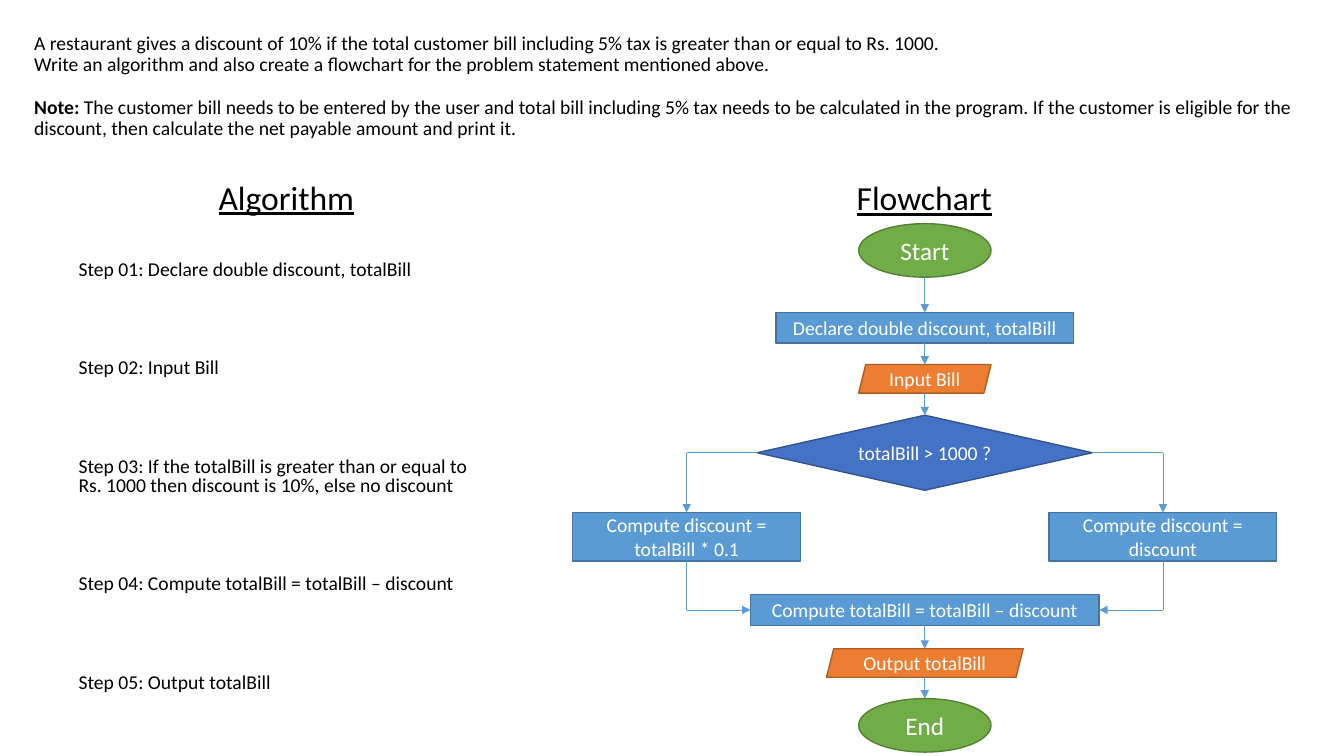
from pptx import Presentation
from pptx.dml.color import RGBColor
from pptx.enum.shapes import MSO_CONNECTOR, MSO_SHAPE
from pptx.enum.text import MSO_ANCHOR, PP_ALIGN
from pptx.oxml.ns import qn
from pptx.util import Pt
from lxml.etree import SubElement

BLACK = RGBColor(0x00, 0x00, 0x00)
WHITE = RGBColor(0xFF, 0xFF, 0xFF)
WIRE = RGBColor(0x5B, 0x9B, 0xD5)
GREEN = (RGBColor(0x70, 0xAD, 0x47), RGBColor(0x53, 0x80, 0x35))
BLUE = (WIRE, RGBColor(0x43, 0x73, 0x9E))
ORANGE = (RGBColor(0xED, 0x7D, 0x31), RGBColor(0xAF, 0x5C, 0x24))
NAVY = (RGBColor(0x44, 0x72, 0xC4), RGBColor(0x32, 0x54, 0x91))

TERM = (MSO_SHAPE.OVAL, GREEN)
TASK = (MSO_SHAPE.RECTANGLE, BLUE)
DATA = (MSO_SHAPE.PARALLELOGRAM, ORANGE)
TEST = (MSO_SHAPE.DIAMOND, NAVY)

MID = 660.6
SIDE = 170.1

INTRO = [
    "A restaurant gives a discount of 10% if the total customer bill including 5% tax is greater than or equal to Rs. 1000.",
    "Write an algorithm and also create a flowchart for the problem statement mentioned above.",
]
NOTE = (
    " The customer bill needs to be entered by the user and total bill including 5% tax needs to be calculated"
    " in the program. If the customer is eligible for the discount, then calculate the net payable amount and print it."
)
STEPS = [
    "Declare double discount, totalBill",
    "Input Bill",
    "If the totalBill is greater than or equal to Rs. 1000 then discount is 10%, else no discount",
    "Compute totalBill = totalBill – discount",
    "Output totalBill",
]


def style(para, size, color=BLACK, line=False):
    for run in para.runs:
        run.font.name = "Calibri"
        run.font.size = Pt(size)
        run.font.color.rgb = color
        run.font.underline = line


def add_text(slide, left, top, width, height, lines):
    frame = slide.shapes.add_textbox(Pt(left), Pt(top), Pt(width), Pt(height)).text_frame
    frame.word_wrap = True
    frame.text = "\n".join(lines)
    for para in frame.paragraphs:
        style(para, 14)
    return frame


def add_intro(slide):
    frame = add_text(slide, 17.3, 9.4, 924.5, 109.4, INTRO + ["Note:"])
    frame.vertical_anchor = MSO_ANCHOR.BOTTOM
    frame.margin_bottom = Pt(19)
    note = frame.paragraphs[-1]
    note.space_before = Pt(15.4)
    note.add_run().text = NOTE
    style(note, 14)
    note.runs[0].font.bold = True
    for para in frame.paragraphs:
        para.line_spacing = 0.9


def add_steps(slide):
    lines = [f"Step {num:02}: {text}" for num, text in enumerate(STEPS, 1)]
    frame = add_text(slide, 49, 128.2, 311, 395.3, ["Algorithm"] + lines)
    for para in frame.paragraphs:
        para.line_spacing = 0.8
        para.space_before = Pt(57)
    head, first = frame.paragraphs[:2]
    head.alignment = PP_ALIGN.CENTER
    head.space_before = Pt(0)
    style(head, 24, line=True)
    first.space_before = Pt(31.7)


def add_node(slide, kind, text, mid, top, width, height, size=14):
    form, (fill, edge) = kind
    node = slide.shapes.add_shape(form, Pt(mid - width / 2), Pt(top), Pt(width), Pt(height))
    node.shadow.inherit = False
    node.fill.solid()
    node.fill.fore_color.rgb = fill
    node.line.color.rgb = edge
    node.line.width = Pt(1)
    frame = node.text_frame
    frame.word_wrap = True
    frame.vertical_anchor = MSO_ANCHOR.MIDDLE
    frame.text = text
    para = frame.paragraphs[0]
    para.alignment = PP_ALIGN.CENTER
    style(para, size, WHITE)
    return node


def add_wire(slide, start, end, arrow=True):
    wire = slide.shapes.add_connector(MSO_CONNECTOR.STRAIGHT, *start, *end)
    wire.line.color.rgb = WIRE
    wire.line.width = Pt(0.5)
    if arrow:
        SubElement(wire.line._get_or_add_ln(), qn("a:tailEnd"), type="triangle")
    SubElement(wire._element.spPr, qn("a:effectLst"))


def center(node):
    return node.left + node.width // 2, node.top + node.height // 2


def link_down(slide, upper, lower):
    mid = center(upper)[0]
    add_wire(slide, (mid, upper.top + upper.height), (mid, lower.top))


def link_branch(slide, test, branch, merge, right):
    mid = center(branch)[0]
    high, low = center(test)[1], center(merge)[1]
    start = test.left + test.width * right
    end = merge.left + merge.width * right
    add_wire(slide, (start, high), (mid, high), False)
    add_wire(slide, (mid, high), (mid, branch.top))
    add_wire(slide, (mid, branch.top + branch.height), (mid, low), False)
    add_wire(slide, (mid, low), (end, low))


def add_chart(slide):
    frame = add_text(slide, 604.8, 123.1, 112.3, 36.4, ["Flowchart"])
    frame.word_wrap = False
    style(frame.paragraphs[0], 24, line=True)
    start = add_node(slide, TERM, "Start", MID, 159.8, 94.6, 38.2, 18)
    declare = add_node(slide, TASK, STEPS[0], MID, 223.2, 212.4, 21.8)
    entry = add_node(slide, DATA, STEPS[1], MID, 260.4, 94.6, 20.4)
    test = add_node(slide, TEST, "totalBill > 1000 ?", MID, 296.6, 239.4, 53.6)
    yes = add_node(slide, TASK, "Compute discount = totalBill * 0.1", MID - SIDE, 366.1, 162.7, 34.8)
    no = add_node(slide, TASK, "Compute discount = discount", MID + SIDE, 366.1, 162.7, 34.8)
    merge = add_node(slide, TASK, STEPS[3], MID, 424.8, 249.1, 21.8)
    output = add_node(slide, DATA, STEPS[4], MID, 463.4, 140.4, 20.4)
    end = add_node(slide, TERM, "End", MID, 499, 94.6, 38.2, 18)
    for chain in ([start, declare, entry, test], [merge, output, end]):
        for upper, lower in zip(chain, chain[1:]):
            link_down(slide, upper, lower)
    link_branch(slide, test, yes, merge, 0)
    link_branch(slide, test, no, merge, 1)


def main():
    deck = Presentation()
    deck.slide_width = Pt(960)
    deck.slide_height = Pt(540)
    slide = deck.slides.add_slide(deck.slide_layouts[6])
    add_intro(slide)
    add_steps(slide)
    add_chart(slide)
    deck.save("out.pptx")


if __name__ == "__main__":
    main()
